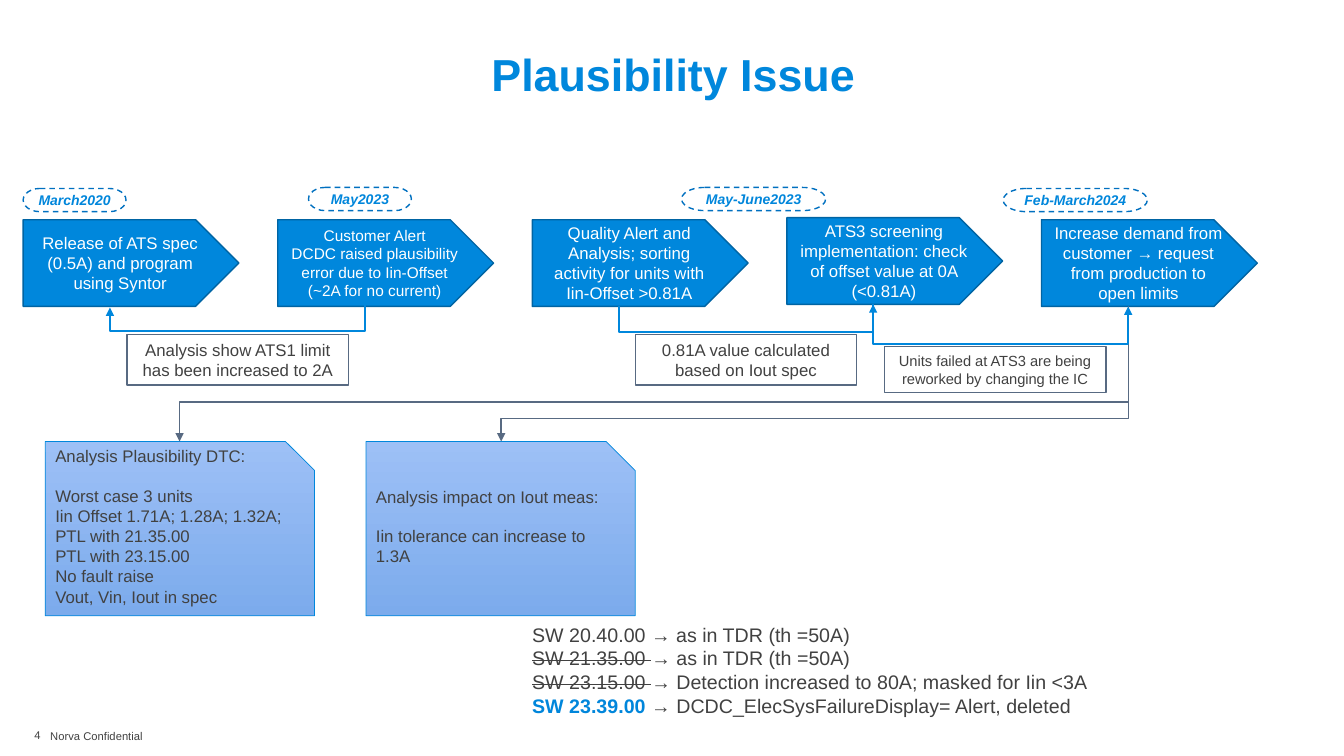
"""Build the plausibility issue timeline slide."""
from typing import NamedTuple

from lxml.etree import SubElement
from pptx import Presentation
from pptx.dml.color import RGBColor
from pptx.enum.dml import MSO_LINE
from pptx.enum.shapes import MSO_CONNECTOR, MSO_SHAPE
from pptx.enum.text import MSO_ANCHOR, PP_ALIGN
from pptx.oxml.ns import qn
from pptx.util import Inches, Pt

BLUE = RGBColor(0x00, 0x87, 0xDC)
ACCENT = RGBColor(0x00, 0x86, 0xDB)
DARK_BLUE = RGBColor(0x00, 0x64, 0xA3)
DASH_BLUE = RGBColor(0x00, 0x70, 0xC0)
SLATE = RGBColor(0x58, 0x6A, 0x82)
GRAY = RGBColor(0x41, 0x41, 0x41)
WHITE = RGBColor(0xFF, 0xFF, 0xFF)
GRADIENT = (RGBColor(0x9D, 0xC0, 0xF6), RGBColor(0x7C, 0xAB, 0xEC))
STEP_LEFT, STEP_PITCH = 0.23, 2.525


class Step(NamedTuple):
    """Arrow-shaped step of the timeline."""
    lines: tuple[str, ...]
    top: float = 2.18
    size: float = 12


class Label(NamedTuple):
    """Date pill or remark box."""
    text: str
    left: float
    top: float
    width: float
    height: float
    size: float = 12


class Analysis(NamedTuple):
    """Analysis card with a heading and details."""
    left: float
    lines: tuple[str, ...]


class Route(NamedTuple):
    """Elbow arrow that runs along a horizontal level."""
    start: tuple[float, float]
    end: tuple[float, float]
    level: float
    color: RGBColor
    weight: float


class Software(NamedTuple):
    """Software version and its behaviour."""
    version: str
    note: str
    style: dict


STEPS = (
    Step(("Release of ATS spec (0.5A) and program using Syntor",)),
    Step(("Customer Alert", "DCDC raised plausibility error due to Iin-Offset (~2A for no current)"), size=11),
    Step(("Quality Alert and Analysis; sorting activity for units with Iin-Offset >0.81A",)),
    Step(("ATS3 screening implementation: check of offset value at 0A (<0.81A)",), top=2.16),
    Step(("Increase demand from customer → request from production to open limits",)),
)
DATES = (
    Label("March2020", 0.23, 1.87, 1.02, 0.23, 10),
    Label("May2023", 3.06, 1.86, 1.02, 0.23, 10),
    Label("May-June2023", 6.76, 1.86, 1.43, 0.23, 10),
    Label("Feb-March2024", 9.95, 1.87, 1.43, 0.23, 10),
)
REMARKS = (
    Label("Analysis show ATS1 limit has been increased to 2A", 1.26, 3.32, 2.2, 0.5),
    Label("0.81A value calculated based on Iout spec", 6.3, 3.32, 2.2, 0.5),
    Label("Units failed at ATS3 are being reworked by changing the IC", 8.77, 3.44, 2.2, 0.45, 10.5),
)
ANALYSES = (
    Analysis(0.45, ("Analysis Plausibility DTC:", "Worst case 3 units", "Iin Offset 1.71A; 1.28A; 1.32A;",
                    "PTL with 21.35.00", "PTL with 23.15.00", "No fault raise", "Vout, Vin, Iout in spec")),
    Analysis(3.63, ("Analysis impact on Iout meas:", "Iin tolerance can increase to 1.3A")),
)
ROUTES = (
    Route((11.19, 3.04), (1.78, 4.38), 3.99, SLATE, 1),
    Route((11.19, 3.04), (4.97, 4.38), 4.15, SLATE, 1),
    Route((3.62, 3.03), (1.09, 3.05), 3.28, BLUE, 1.5),
    Route((6.14, 3.04), (8.66, 3.02), 3.29, BLUE, 1.5),
    Route((8.66, 3.02), (11.19, 3.04), 3.41, BLUE, 1.5),
)
SOFTWARE = (
    Software("SW 20.40.00 ", "→ as in TDR (th =50A)", {}),
    Software("SW 21.35.00 ", "→ as in TDR (th =50A)", {"strike": True}),
    Software("SW 23.15.00 ", "→ Detection increased to 80A; masked for Iin <3A", {"strike": True}),
    Software("SW 23.39.00", " → DCDC_ElecSysFailureDisplay= Alert, deleted", {"color": ACCENT, "bold": True}),
)


def add_text(paragraph, text: str, *, size: float, color: RGBColor = GRAY,
             bold: bool = False, italic: bool = False, strike: bool = False) -> None:
    """Append a formatted run to a paragraph."""
    run = paragraph.add_run()
    run.text = text
    run.font.name = "Arial"
    run.font.size = Pt(size)
    run.font.bold = bold
    run.font.italic = italic
    run.font.color.rgb = color
    if strike:
        run._r.get_or_add_rPr().set("strike", "sngStrike")


def add_lines(frame, lines: tuple[str, ...], align=PP_ALIGN.CENTER, anchor=MSO_ANCHOR.MIDDLE, **style) -> None:
    """Write one paragraph per line into a text frame."""
    frame.word_wrap = True
    frame.vertical_anchor = anchor
    for index, line in enumerate(lines):
        paragraph = frame.add_paragraph() if index else frame.paragraphs[0]
        paragraph.alignment = align
        add_text(paragraph, line, **style)


def add_box(slide, kind, left: float, top: float, width: float, height: float,
            line: RGBColor, weight: float, fill: RGBColor | None = None):
    """Add a flat preset shape with its outline and fill."""
    shape = slide.shapes.add_shape(kind, Inches(left), Inches(top), Inches(width), Inches(height))
    shape.shadow.inherit = False
    shape.line.color.rgb = line
    shape.line.width = Pt(weight)
    if fill is None:
        shape.fill.background()
    else:
        shape.fill.solid()
        shape.fill.fore_color.rgb = fill
    return shape


def add_textbox(slide, left: float, top: float, width: float, height: float):
    """Add a wrapping text box and return its frame."""
    frame = slide.shapes.add_textbox(Inches(left), Inches(top), Inches(width), Inches(height)).text_frame
    frame.word_wrap = True
    return frame


def add_analysis(slide, analysis: Analysis) -> None:
    """Draw a gradient card with its heading set apart."""
    shape = add_box(slide, MSO_SHAPE.SNIP_1_RECTANGLE, analysis.left, 4.38, 2.67, 1.73, BLUE, 0.5)
    shape.fill.gradient()
    shape.fill.gradient_angle = 270
    for stop, color in zip(shape.fill.gradient_stops, GRADIENT):
        stop.color.rgb = color
    add_lines(shape.text_frame, analysis.lines, PP_ALIGN.LEFT, size=12)
    shape.text_frame.margin_bottom = Inches(0.24)
    shape.text_frame.paragraphs[1].space_before = Pt(13.8)


def add_route(slide, route: Route) -> None:
    """Draw an elbow arrow that leaves and arrives vertically."""
    (x1, y1), (x2, y2) = route.start, route.end
    width, height = abs(y2 - y1), abs(x2 - x1)
    connector = slide.shapes.add_connector(MSO_CONNECTOR.ELBOW, 0, 0, 0, 0)
    connector.left = Inches((x1 + x2 - width) / 2)
    connector.top = Inches((y1 + y2 - height) / 2)
    connector.width, connector.height = Inches(width), Inches(height)
    connector.line.color.rgb = route.color
    connector.line.width = Pt(route.weight)
    properties = connector._element.spPr
    transform = properties.find(qn("a:xfrm"))
    transform.set("rot", "5400000")
    transform.set("flipH", str(int(y2 < y1)))
    transform.set("flipV", str(int(x2 > x1)))
    geometry = properties.find(qn("a:prstGeom"))
    bend = round((route.level - y1) / (y2 - y1) * 100000)
    SubElement(geometry.find(qn("a:avLst")), qn("a:gd"), name="adj1", fmla=f"val {bend}")
    SubElement(properties.find(qn("a:ln")), qn("a:tailEnd"), type="triangle")
    SubElement(properties, qn("a:effectLst"))


def add_title(slide) -> None:
    """Place and format the slide title."""
    title = slide.shapes.title
    title.left, title.top, title.width, title.height = map(Inches, (0.45, 0.41, 12.46, 0.7))
    frame = title.text_frame
    frame.margin_left = frame.margin_right = 0
    add_lines(frame, ("Plausibility Issue",), size=32, color=BLUE, bold=True)
    frame.paragraphs[0].line_spacing = 0.9


def main() -> None:
    """Build and save the slide."""
    presentation = Presentation()
    presentation.slide_width, presentation.slide_height = Inches(13.33), Inches(7.5)
    slide = presentation.slides.add_slide(presentation.slide_layouts[5])
    add_title(slide)
    for index, step in enumerate(STEPS):
        shape = add_box(slide, MSO_SHAPE.PENTAGON, STEP_LEFT + index * STEP_PITCH, step.top, 2.14, 0.86,
                        DARK_BLUE, 1, BLUE)
        add_lines(shape.text_frame, step.lines, size=step.size, color=WHITE)
    for analysis in ANALYSES:
        add_analysis(slide, analysis)
    for route in ROUTES:
        add_route(slide, route)
    for date in DATES:
        shape = add_box(slide, MSO_SHAPE.FLOWCHART_TERMINATOR, *date[1:5], DASH_BLUE, 1)
        shape.line.dash_style = MSO_LINE.DASH
        add_lines(shape.text_frame, (date.text,), size=date.size, color=ACCENT, bold=True, italic=True)
    for remark in REMARKS:
        shape = add_box(slide, MSO_SHAPE.RECTANGLE, *remark[1:5], SLATE, 0.75)
        add_lines(shape.text_frame, (remark.text,), anchor=MSO_ANCHOR.TOP, size=remark.size)
    frame = add_textbox(slide, 5.18, 6.13, 5.77, 1.04)
    for index, software in enumerate(SOFTWARE):
        paragraph = frame.add_paragraph() if index else frame.paragraphs[0]
        add_text(paragraph, software.version, size=14, **software.style)
        add_text(paragraph, software.note, size=14)
    add_lines(add_textbox(slide, 0.4, 7.18, 1.4, 0.24), ("Norva Confidential",), PP_ALIGN.LEFT, size=8)
    add_lines(add_textbox(slide, 0.11, 7.18, 0.39, 0.24), ("4",), PP_ALIGN.RIGHT, MSO_ANCHOR.TOP, size=8)
    presentation.save("out.pptx")


if __name__ == "__main__":
    main()
